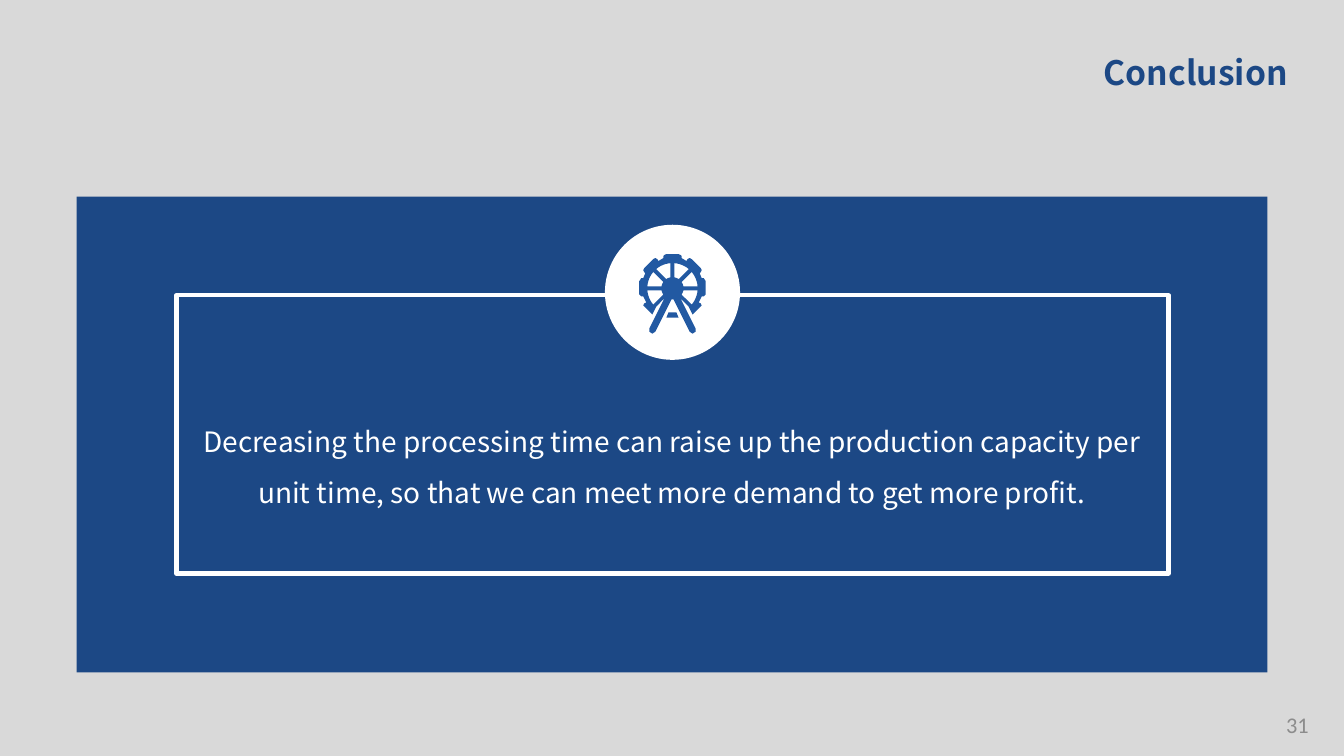
"""Build the closing slide: a blue panel with a framed message and a wheel badge."""
from dataclasses import dataclass
from math import cos, pi, sin
from typing import Optional

from pptx import Presentation
from pptx.dml.color import RGBColor
from pptx.enum import shapes as kinds, text as txt
from pptx.util import Inches, Pt

GREY = RGBColor(0xD9, 0xD9, 0xD9)
NAVY = RGBColor(0x1C, 0x48, 0x85)
BLUE = RGBColor(0x22, 0x59, 0xA2)
WHITE = RGBColor(0xFF, 0xFF, 0xFF)
ASH = RGBColor(0x8C, 0x8C, 0x8C)
SANS = "Noto Sans CJK SC"

Point = tuple[float, float]
Box = tuple[float, float, float, float]


@dataclass
class Block:
    box: Box
    kind: kinds.MSO_SHAPE
    fill: Optional[RGBColor] = None
    line: Optional[RGBColor] = None


@dataclass
class Label:
    box: Box
    words: str
    size: int
    color: RGBColor
    align: txt.PP_ALIGN
    font: str = SANS
    bold: bool = False
    space: float = 1.0
    anchor: txt.MSO_ANCHOR = txt.MSO_ANCHOR.TOP


TITLE = Label((9.22, 0.46, 3.65, 0.5), "Conclusion", 24, NAVY,
              txt.PP_ALIGN.RIGHT, bold=True)
BLOCKS = [
    Block((0.76, 1.95, 11.81, 4.72), kinds.MSO_SHAPE.RECTANGLE, fill=NAVY),
    Block((1.75, 2.93, 9.84, 2.76), kinds.MSO_SHAPE.RECTANGLE, line=WHITE),
    Block((6, 2.23, 1.34, 1.34), kinds.MSO_SHAPE.OVAL, fill=WHITE),
]
LABELS = [
    Label((1.87, 4, 9.59, 1.11),
          "Decreasing the processing time can raise up the production capacity "
          "per unit time, so that we can meet more demand to get more profit.",
          20, WHITE, txt.PP_ALIGN.CENTER, space=1.5),
    Label((10.08, 6.99, 3, 0.4), "31", 16, ASH, txt.PP_ALIGN.RIGHT,
          font="Calibri", anchor=txt.MSO_ANCHOR.MIDDLE),
]

MID_X, MID_Y = 6.67, 2.86
HUB, RIM, SPOKE = 0.11, 0.25, 0.02
RIGHT_EDGE = [
    (6.73, 2.52), (6.75, 2.53), (6.76, 2.54), (6.76, 2.56), (6.81, 2.59),
    (6.82, 2.57), (6.84, 2.56), (6.86, 2.57), (6.95, 2.66), (6.96, 2.68),
    (6.95, 2.7), (6.94, 2.71), (6.96, 2.76), (6.98, 2.76), (7, 2.79),
    (7, 2.92), (6.98, 2.94), (6.96, 2.94), (6.93, 3), (6.95, 3.01),
    (6.96, 3.03), (6.95, 3.04), (6.87, 3.12), (6.83, 3.04), (6.75, 2.96),
    (6.9, 3.26), (6.9, 3.29), (6.87, 3.31), (6.84, 3.29), (6.68, 2.97),
]
RIGHT_FOOT = [(6.67, 3.1), (6.71, 3.1), (6.73, 3.15), (6.67, 3.15)]


def mirror(half: list[Point]) -> list[Point]:
    return half + [(2 * MID_X - x, y) for x, y in reversed(half)]


def window(index: int) -> list[Point]:
    """Outline the gap between two spokes."""
    def arc(rad: float) -> list[Point]:
        start, trim = index * pi / 4, SPOKE / rad
        turns = [start + trim + (pi / 4 - 2 * trim) * i / 6 for i in range(7)]
        return [(MID_X + rad * cos(a), MID_Y + rad * sin(a)) for a in turns]

    return arc(RIM) + arc(HUB)[::-1]


def style(frame, label: Label) -> None:
    frame.word_wrap = True
    frame.auto_size = txt.MSO_AUTO_SIZE.NONE
    frame.vertical_anchor = label.anchor
    frame.text = label.words
    para = frame.paragraphs[0]
    para.alignment, para.line_spacing = label.align, label.space
    font = para.font
    font.name, font.size, font.bold = label.font, Pt(label.size), label.bold
    font.color.rgb = label.color


def place(box: Box) -> list[int]:
    return [Inches(side) for side in box]


def add_block(slide, block: Block) -> None:
    shape = slide.shapes.add_shape(block.kind, *place(block.box))
    shape.shadow.inherit = False
    if block.fill is None:
        shape.fill.background()
    else:
        shape.fill.solid()
        shape.fill.fore_color.rgb = block.fill
    if block.line is None:
        shape.line.fill.background()
    else:
        shape.line.color.rgb = block.line
        shape.line.width = Pt(3)


def add_wheel(slide) -> None:
    rings = [mirror(RIGHT_EDGE), mirror(RIGHT_FOOT)]
    rings += [window(i) for i in range(-5, 1)]
    rings = [[(Inches(x), Inches(y)) for x, y in ring] for ring in rings]
    pen = slide.shapes.build_freeform(*rings[0][0], scale=1.0)
    pen.add_line_segments(rings[0][1:], close=True)
    for ring in rings[1:]:
        pen.move_to(*ring[0])
        pen.add_line_segments(ring[1:], close=True)
    wheel = pen.convert_to_shape()
    wheel.shadow.inherit = False
    wheel.fill.solid()
    wheel.fill.fore_color.rgb = BLUE
    wheel.line.fill.background()


def main() -> None:
    deck = Presentation()
    deck.slide_width, deck.slide_height = Inches(13.33), Inches(7.5)
    slide = deck.slides.add_slide(deck.slide_layouts[5])
    slide.background.fill.solid()
    slide.background.fill.fore_color.rgb = GREY
    title = slide.shapes.title
    title.left, title.top, title.width, title.height = place(TITLE.box)
    style(title.text_frame, TITLE)
    for block in BLOCKS:
        add_block(slide, block)
    add_wheel(slide)
    for label in LABELS:
        style(slide.shapes.add_textbox(*place(label.box)).text_frame, label)
    deck.save("out.pptx")


if __name__ == "__main__":
    main()
